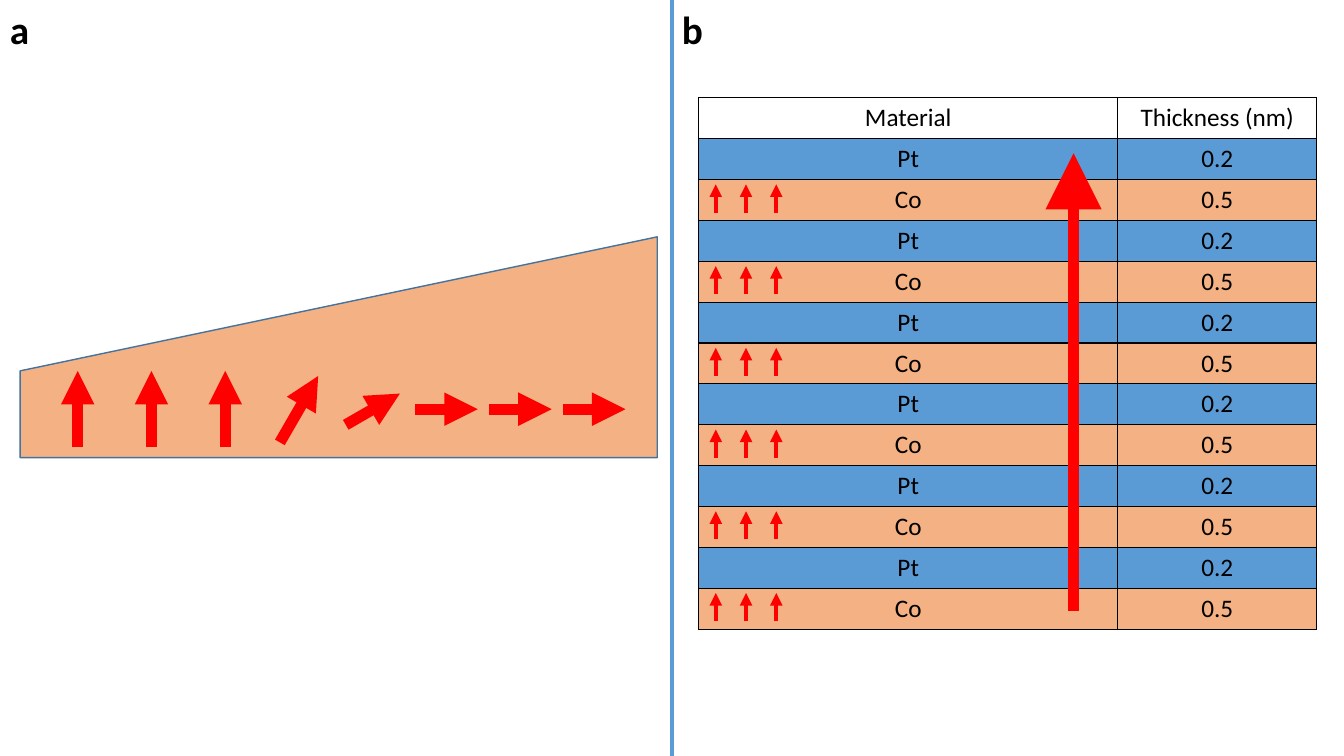
"""Build a slide with a wedge film and a table of its layers."""
import math

import lxml.etree
import pptx
import pptx.dml.color
import pptx.enum.shapes
import pptx.enum.text
import pptx.oxml.ns
import pptx.util

RED = pptx.dml.color.RGBColor(0xFF, 0x00, 0x00)
BLUE = pptx.dml.color.RGBColor(0x5B, 0x9B, 0xD5)
ORANGE = pptx.dml.color.RGBColor(0xF4, 0xB1, 0x83)
OUTLINE = pptx.dml.color.RGBColor(0x43, 0x73, 0x9E)
BLACK = pptx.dml.color.RGBColor(0x00, 0x00, 0x00)

SLIDE_WIDTH = pptx.util.Inches(13.33)
SLIDE_HEIGHT = pptx.util.Inches(7.5)
HEADER = ("Material", "Thickness (nm)")
LAYERS = [("Pt", "0.2", BLUE), ("Co", "0.5", ORANGE)] * 6
SPIN_ANGLES = (90, 90, 90, 60, 30, 0, 0, 0)


def across(percent):
    """Return a percentage of the slide width."""
    return round(SLIDE_WIDTH * percent / 100)


def down(percent):
    """Return a percentage of the slide height."""
    return round(SLIDE_HEIGHT * percent / 100)


def add_element(parent, tag, **attributes):
    """Append an XML element to a parent and return it."""
    return lxml.etree.SubElement(parent, pptx.oxml.ns.qn(tag), attributes)


def add_run(paragraph, text, size, bold=False):
    """Add one black Calibri run."""
    run = paragraph.add_run()
    run.text = text
    run.font.name = "Calibri"
    run.font.size = pptx.util.Pt(size)
    run.font.bold = bold
    run.font.color.rgb = BLACK


def add_line(shapes, start, end, color, weight, head=None):
    """Draw a straight line, with an arrowhead of the given size if any."""
    connector = shapes.add_connector(
        pptx.enum.shapes.MSO_CONNECTOR.STRAIGHT, *map(round, (*start, *end)))
    connector.line.color.rgb = color
    connector.line.width = pptx.util.Pt(weight)
    if head:
        line = connector.line._get_or_add_ln()
        add_element(line, "a:tailEnd", type="triangle", w=head, len=head)
    add_element(connector._element.spPr, "a:effectLst")


def add_label(slide, box, text):
    """Add the bold letter of a panel."""
    text_box = slide.shapes.add_textbox(*box)
    text_box.text_frame.word_wrap = False
    text_box.text_frame.auto_size = pptx.enum.text.MSO_AUTO_SIZE.SHAPE_TO_FIT_TEXT
    add_run(text_box.text_frame.paragraphs[0], text, 28, bold=True)


def add_wedge(slide, box):
    """Draw the wedge film with spins that turn from upright to flat."""
    left, top, width, height = box
    right, bottom = left + width, top + height
    group = slide.shapes.add_group_shape()
    builder = group.shapes.build_freeform(left, bottom)
    builder.add_line_segments(
        [(left, top + down(17.73)), (right, top), (right, bottom)], close=True)
    film = builder.convert_to_shape()
    film.shadow.inherit = False
    film.fill.solid()
    film.fill.fore_color.rgb = ORANGE
    film.line.color.rgb = OUTLINE
    film.line.width = pptx.util.Pt(1)
    middle = top + down(22.8)
    for index, angle in enumerate(SPIN_ANGLES):
        center = left + across(4.28 + 5.49 * index)
        half = across(5.7 if angle > 45 else 4.65) / 2
        step_x = half * math.cos(math.radians(angle))
        step_y = half * math.sin(math.radians(angle))
        add_line(group.shapes, (center - step_x, middle + step_y),
                 (center + step_x, middle - step_y), RED, 8, "med")


def fill_cell(cell, text, color=None):
    """Give a table cell its borders, fill and centred text."""
    properties = cell._tc.get_or_add_tcPr()
    for side in ("a:lnL", "a:lnR", "a:lnT", "a:lnB"):
        border = add_element(properties, side, w=str(pptx.util.Pt(1)))
        add_element(add_element(border, "a:solidFill"), "a:srgbClr", val=str(BLACK))
    if color is None:
        cell.fill.background()
    else:
        cell.fill.solid()
        cell.fill.fore_color.rgb = color
    paragraph = cell.text_frame.paragraphs[0]
    paragraph.alignment = pptx.enum.text.PP_ALIGN.CENTER
    add_run(paragraph, text, 18)


def add_layer_table(slide, box):
    """Add the table of layers with its header row."""
    row_count = len(LAYERS) + 1
    table = slide.shapes.add_table(row_count, len(HEADER), *box).table
    table.first_row = False
    table.horz_banding = False
    table.columns[0].width = across(31.2)
    table.columns[1].width = box[2] - across(31.2)
    for row in table.rows:
        row.height = round(box[3] / row_count)
    for column, title in enumerate(HEADER):
        fill_cell(table.cell(0, column), title)
    for row, (material, thickness, color) in enumerate(LAYERS, 1):
        fill_cell(table.cell(row, 0), material, color)
        fill_cell(table.cell(row, 1), thickness, color)


def add_layer_spins(slide, box):
    """Draw three small spins in every cobalt row."""
    left, top, _, height = box
    row_height = height / (len(LAYERS) + 1)
    group = slide.shapes.add_group_shape()
    for row, (material, _, _) in enumerate(LAYERS, 1):
        if material != "Co":
            continue
        for index in range(3):
            center = left + across(1.28 + 2.25 * index)
            add_line(group.shapes, (center, top + (row + 0.81) * row_height),
                     (center, top + (row + 0.12) * row_height), RED, 3, "med")


def add_net_spin(slide, box):
    """Draw the long arrow through all layers."""
    left, top, _, height = box
    row_height = height / (len(LAYERS) + 1)
    center = left + across(27.9)
    add_line(slide.shapes, (center, top + 12.56 * row_height),
             (center, top + 1.36 * row_height), RED, 8, "lg")


def main():
    """Assemble the slide and save it."""
    presentation = pptx.Presentation()
    presentation.slide_width = SLIDE_WIDTH
    presentation.slide_height = SLIDE_HEIGHT
    slide = presentation.slides.add_slide(presentation.slide_layouts[6])
    wedge_box = (across(1.5), down(31.33), across(47.4), down(29.2))
    table_box = (across(51.98), down(12.93), across(45.98), down(70.27))
    add_layer_table(slide, table_box)
    add_layer_spins(slide, table_box)
    add_line(slide.shapes, (across(50), 0), (across(50), SLIDE_HEIGHT), BLUE, 2.25)
    add_wedge(slide, wedge_box)
    for left, letter in ((0, "a"), (across(50), "b")):
        add_label(slide, (left, 0, across(3), down(7.6)), letter)
    add_net_spin(slide, table_box)
    presentation.save("out.pptx")


main()
